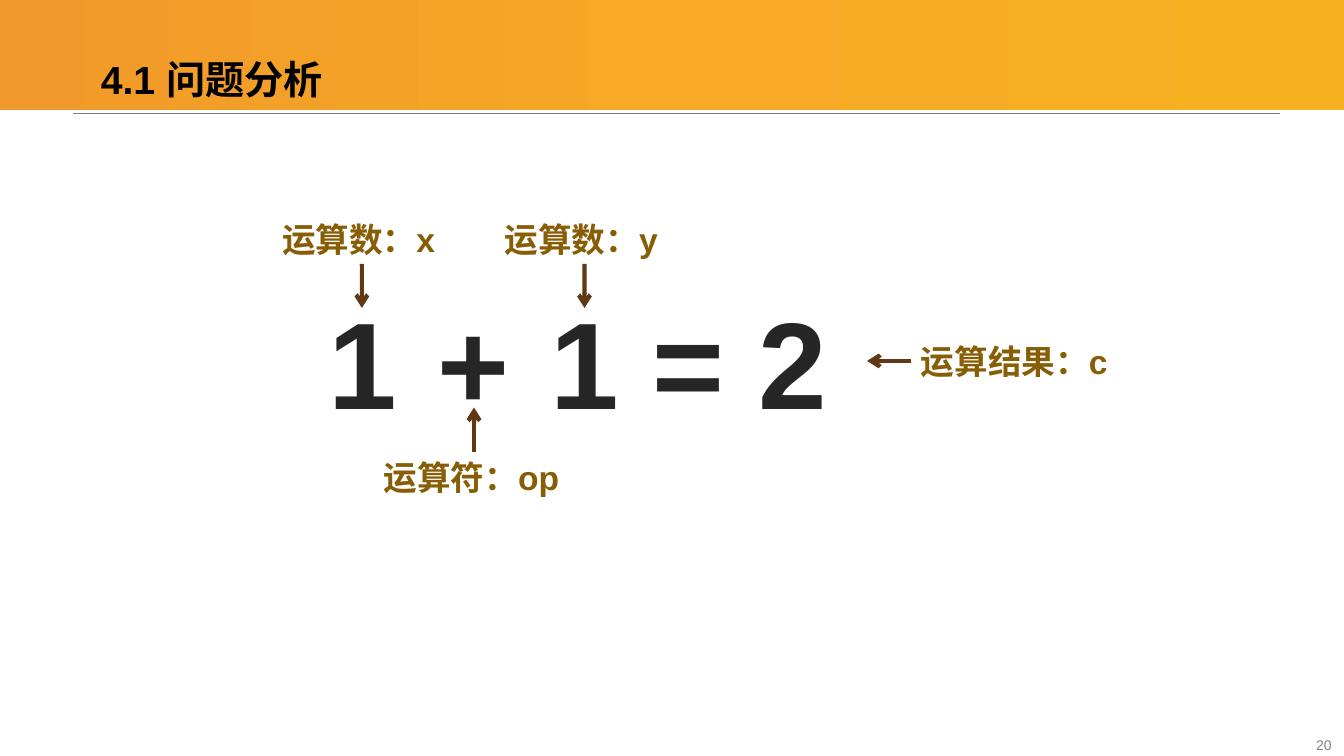
from copy import deepcopy
from dataclasses import dataclass

from lxml import etree
from pptx import Presentation
from pptx import util as u
from pptx.dml.color import RGBColor
from pptx.enum import shapes, text
from pptx.oxml.ns import qn

TOP, LEFT, BOTTOM = 0, 1, 2


@dataclass(frozen=True)
class Theme:
    """Colours, type sizes and font of the lesson."""
    font: str = "Arial"
    band: tuple = ("F1992A", "F5A926", "F6B121")
    title: str = "000000"
    formula: str = "262626"
    halo: str = "FFFFFF"
    label: str = "875D05"
    arrow: str = "603812"
    quiet: str = "808080"
    title_size: int = 28
    formula_size: int = 88
    label_size: int = 24
    number_size: int = 10


class Lesson:
    """Draws elements on one slide in a shared style."""

    def __init__(self, slide, theme):
        self.slide = slide
        self.theme = theme

    def band(self, left, top, width, height):
        """Draw the header band with a three-stop gradient."""
        band = self.slide.shapes.add_shape(
            shapes.MSO_SHAPE.RECTANGLE, *map(u.Cm, (left, top, width, height)))
        band.shadow.inherit = False
        band.line.fill.background()
        band.fill.gradient()
        band.fill.gradient_angle = 0
        stops = band._element.spPr.find(qn("a:gradFill")).find(qn("a:gsLst"))
        stops.insert(1, deepcopy(stops[0]))
        for index, stop in enumerate(band.fill.gradient_stops):
            stop.position = index / 2
            stop.color.rgb = RGBColor.from_string(self.theme.band[index])

    def words(self, content, box, size, color, bold=True,
              anchor=text.MSO_ANCHOR.TOP, align=text.PP_ALIGN.LEFT, spacing=None, halo=False):
        """Place a line of text in a box."""
        holder = self.slide.shapes.add_textbox(*map(u.Cm, box))
        frame = holder.text_frame
        frame.word_wrap = True
        frame.vertical_anchor = anchor
        paragraph = frame.paragraphs[0]
        paragraph.alignment = align
        if spacing:
            paragraph.line_spacing = spacing
        run = paragraph.add_run()
        run.text = content
        run.font.name = self.theme.font
        run.font.size = u.Pt(size)
        run.font.bold = bold
        run.font.color.rgb = RGBColor.from_string(color)
        if halo:
            outline = etree.Element(qn("a:ln"), w=str(u.Pt(1.06)))
            fill = etree.SubElement(outline, qn("a:solidFill"))
            etree.SubElement(fill, qn("a:srgbClr"), val=self.theme.halo)
            run.font._element.insert(0, outline)
        return holder

    def line(self, start, end, color, width):
        """Draw a straight line without a shadow."""
        line = self.slide.shapes.add_connector(
            shapes.MSO_CONNECTOR.STRAIGHT, *map(u.Cm, (*start, *end)))
        line.line.color.rgb = RGBColor.from_string(color)
        line.line.width = u.Pt(width)
        etree.SubElement(line._element.spPr, qn("a:effectLst"))
        return line

    def label(self, content, box, side, reach=1.11):
        """Place a label with an arrow leaving the given side."""
        theme = self.theme
        label = self.words(content, box, theme.label_size, theme.label)
        left, top, width, height = box
        start, (across, down) = {
            TOP: ((left + width / 2, top), (0, -reach)),
            LEFT: ((left, top + height / 2), (-reach, 0)),
            BOTTOM: ((left + width / 2, top + height), (0, reach)),
        }[side]
        arrow = self.line(start, (start[0] + across, start[1] + down), theme.arrow, 3)
        arrow.begin_connect(label, side)
        etree.SubElement(arrow.line._get_or_add_ln(), qn("a:tailEnd"), type="arrow")

    def formula(self, terms, left, top, step, height):
        """Set the terms of the formula side by side."""
        for index, (term, width) in enumerate(terms):
            self.words(term, (left + index * step, top, width, height),
                       self.theme.formula_size, self.theme.formula,
                       anchor=text.MSO_ANCHOR.MIDDLE, align=text.PP_ALIGN.CENTER, halo=True)


def main():
    """Build the slide and save it."""
    deck = Presentation()
    deck.slide_width, deck.slide_height = u.Cm(33.87), u.Cm(19.05)
    theme = Theme()
    lesson = Lesson(deck.slides.add_slide(deck.slide_layouts[6]), theme)

    lesson.line((1.85, 2.85), (32.26, 2.85), theme.quiet, 0.25)
    lesson.band(-0.03, -0.08, 33.9, 2.85)
    lesson.words("4.1 问题分析", (2.29, -0.13, 18.47, 2.85), theme.title_size, theme.title,
                 anchor=text.MSO_ANCHOR.BOTTOM, spacing=0.9)
    lesson.words("20", (25.73, 18.47, 8.08, 0.58), theme.number_size, theme.quiet, bold=False,
                 anchor=text.MSO_ANCHOR.MIDDLE, align=text.PP_ALIGN.RIGHT)

    lesson.formula([("1", 2.77), ("+", 2.77), ("1", 2.77), ("= 2", 4.98)], 7.75, 7.39, 2.8, 3.4)
    for content, box, side in [
        ("运算数：x", (6.86, 5.38, 4.52, 1.27), BOTTOM),
        ("运算数：y", (12.47, 5.38, 4.52, 1.27), BOTTOM),
        ("运算符：op", (9.42, 11.38, 5.05, 1.27), TOP),
        ("运算结果：c", (22.96, 8.46, 5.72, 1.27), LEFT),
    ]:
        lesson.label(content, box, side)

    deck.save("out.pptx")


if __name__ == "__main__":
    main()
